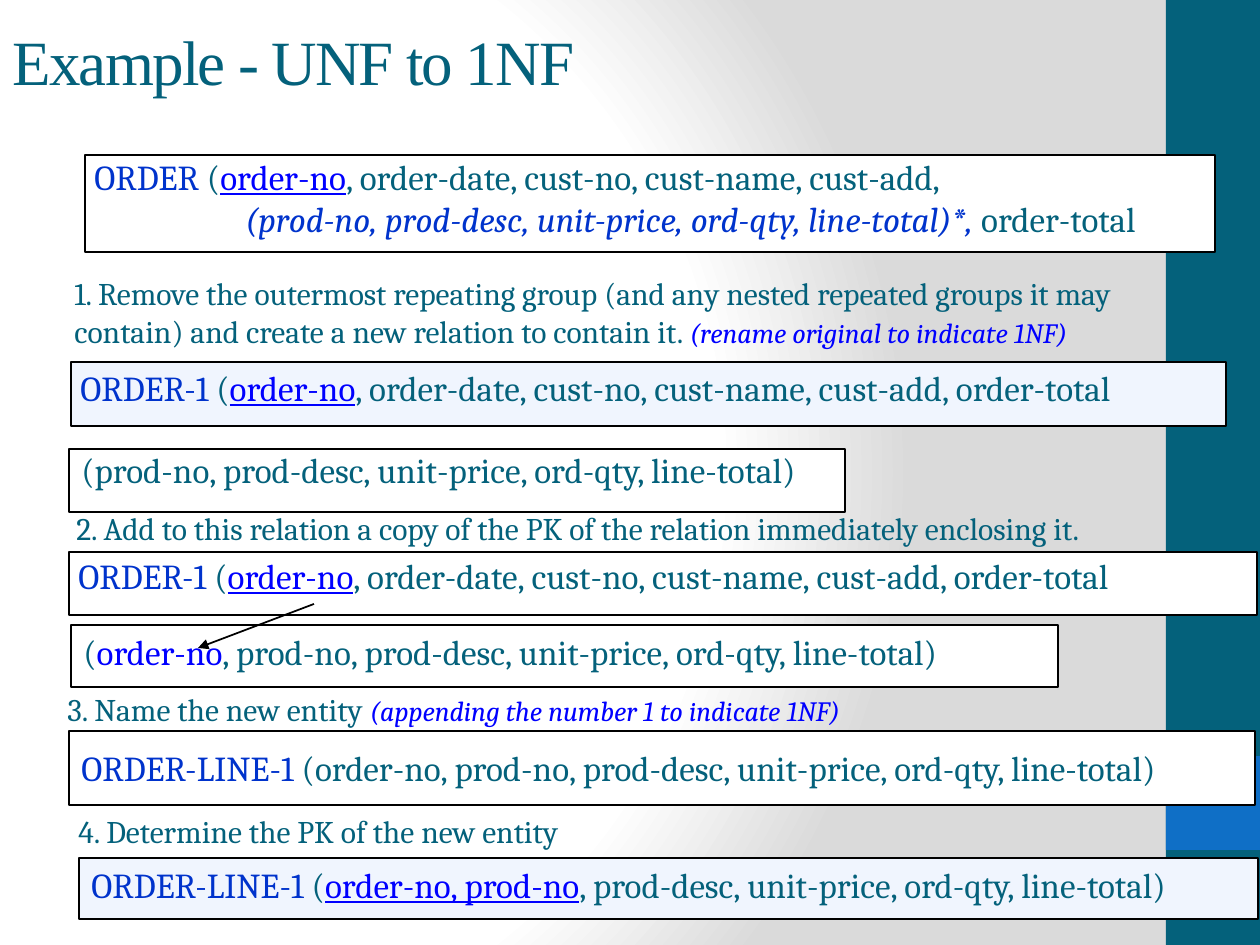
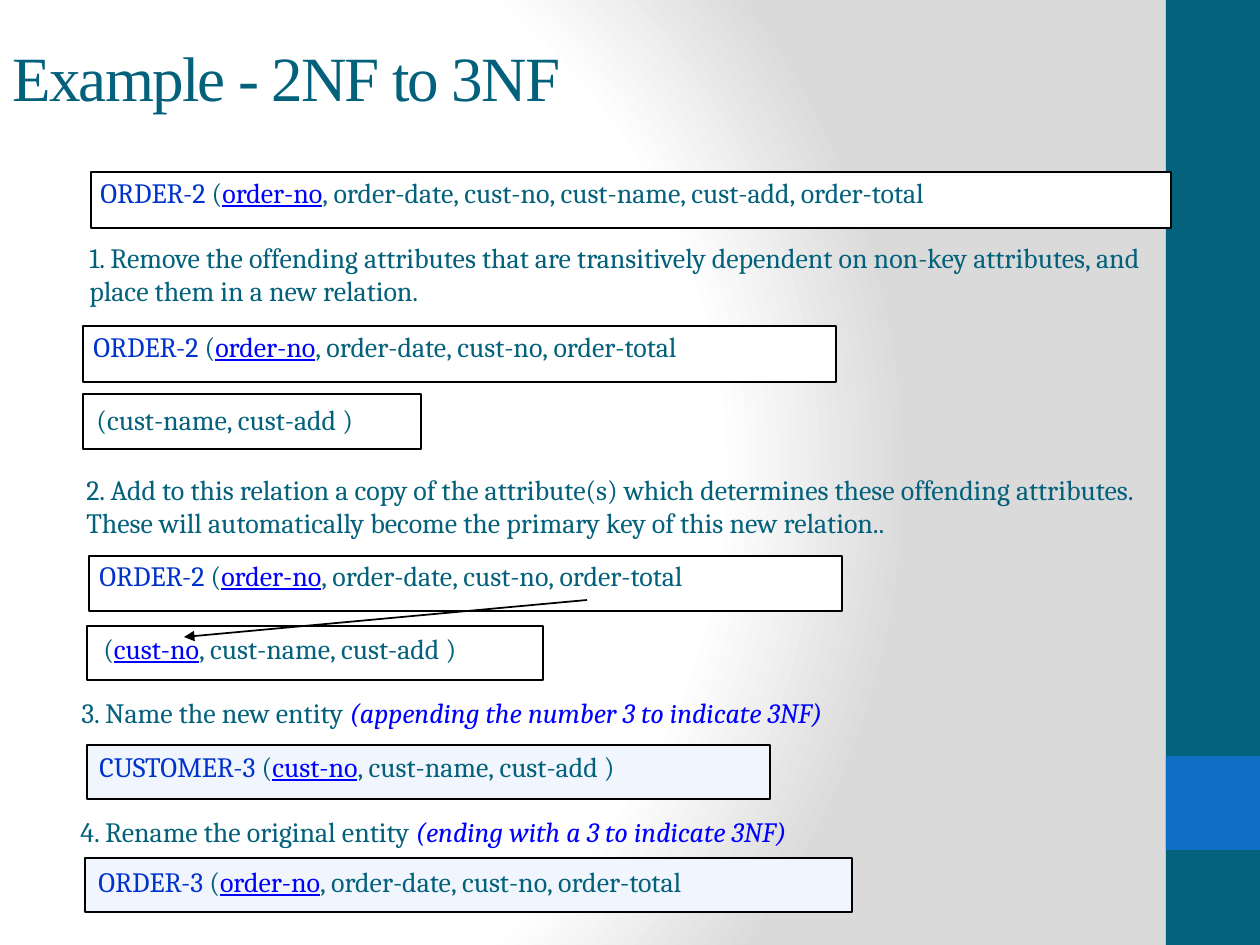
import pptx
import pptx.dml.color
import pptx.enum.shapes
import pptx.enum.text
import pptx.oxml
import pptx.oxml.ns
import pptx.util
from lxml import etree

EMU_PER_PX = 914400 / 126
PAGE_WIDTH, PAGE_HEIGHT = 1260, 945
TEAL, ACCENT, BLACK = "04617B", "0F6FC6", "000000"
NAME_BLUE, KEY_BLUE = "0033CC", "0000FF"
WHITE, RESULT_FILL = "FFFFFF", "F0F5FE"
BODY_FONT, TITLE_FONT = "Cambria", "Times New Roman"

BANDS = [((1166, 0, 94, 945), TEAL), ((1166, 756, 94, 94), ACCENT)]
GRADIENT_STOPS = [(0, "FFFFFF"), (75, "FFFFFF"), (100, "DADADA")]

SPAN_STYLES = {
    "plain": dict(color=TEAL),
    "name": dict(color=NAME_BLUE),
    "key": dict(color=KEY_BLUE, underline=True),
    "copied": dict(color=KEY_BLUE),
    "note": dict(color=KEY_BLUE, italic=True),
    "group": dict(color=NAME_BLUE, italic=True),
}


def relation(name, key, rest):
    """Spans of a relation: its name, its underlined key, its other attributes."""
    return [(name, "name"), (" (", "plain"), (key, "key"), (rest, "plain")]


def step(text, note=""):
    return [(text, "plain")] + ([(note, "note")] if note else [])


ORDER_1 = relation("ORDER-1", "order-no",
                   ", order-date, cust-no, cust-name, cust-add, order-total")
ORDER_2 = relation("ORDER-2", "order-no", ", order-date, cust-no, order-total")

# Each part: frame (left, top, width, height) and its fill, or None for a step;
# then the text box and its paragraphs, each a list of spans.
SLIDES = [
    dict(
        title="Example - UNF to 1NF", title_height=121,
        relation_size=20, step_size=18, note_size=16,
        arrow=((314, 604), (198, 648)),
        parts=[
            ((85, 155, 1130, 97), WHITE, (82, 149, 1155, 112), [
                relation("ORDER", "order-no",
                         ", order-date, cust-no, cust-name, cust-add,"),
                [("(prod-no, prod-desc, unit-price, ord-qty, line-total)*, ",
                  "group"), ("order-total", "plain")]]),
            (None, None, (62, 268, 1172, 102), [step(
                "1. Remove the outermost repeating group (and any nested "
                "repeated groups it may contain) and create a new relation "
                "to contain it. ", "(rename original to indicate 1NF)")]),
            ((71, 362, 1155, 64), RESULT_FILL, (68, 360, 1181, 55), [ORDER_1]),
            ((69, 449, 776, 63), WHITE, (69, 442, 782, 63), [
                [("(prod-no, prod-desc, unit-price, ord-qty, line-total)",
                  "plain")]]),
            (None, None, (64, 503, 1137, 57), [step(
                "2. Add to this relation a copy of the PK of the relation "
                "immediately enclosing it.")]),
            ((69, 552, 1188, 63), WHITE, (66, 548, 1215, 55), [ORDER_1]),
            ((71, 625, 987, 62), WHITE, (71, 624, 956, 62), [
                [("(", "plain"), ("order-no", "copied"),
                 (", prod-no, prod-desc, unit-price, ord-qty, line-total)",
                  "plain")]]),
            (None, None, (55, 688, 854, 64), [step(
                "3. Name the new entity ",
                "(appending the number 1 to indicate 1NF)")]),
            ((69, 731, 1186, 74), WHITE, (69, 740, 1203, 55), [
                [("ORDER-LINE-1", "name"),
                 (" (order-no, prod-no, prod-desc, unit-price, ord-qty, "
                  "line-total)", "plain")]]),
            (None, None, (66, 806, 534, 57),
             [step("4. Determine the PK of the new entity")]),
            ((79, 858, 1179, 61), RESULT_FILL, (79, 857, 1203, 55), [
                relation("ORDER-LINE-1", "order-no, prod-no",
                         ", prod-desc, unit-price, ord-qty, line-total)")]),
        ]),
    dict(
        title="Example - 2NF to 3NF", title_height=152,
        relation_size=16, step_size=16, note_size=16,
        arrow=((587, 600), (184, 637)),
        parts=[
            ((91, 172, 1080, 56), WHITE, (88, 169, 1104, 47), [
                relation("ORDER-2", "order-no", ", order-date, cust-no, "
                         "cust-name, cust-add, order-total")]),
            (None, None, (77, 234, 1095, 81), [step(
                "1. Remove the offending attributes that are transitively "
                "dependent on non-key attributes, and place them in a new "
                "relation.")]),
            ((83, 326, 753, 56), WHITE, (81, 323, 770, 47), [ORDER_2]),
            ((83, 394, 338, 55), WHITE, (84, 396, 309, 47),
             [[("(cust-name, cust-add )", "plain")]]),
            (None, None, (74, 466, 1120, 81), [step(
                "2. Add to this relation a copy of the attribute(s) which "
                "determines these offending attributes. These will "
                "automatically become the primary key of this new "
                "relation..")]),
            ((89, 556, 753, 55), WHITE, (87, 552, 770, 47), [ORDER_2]),
            ((87, 626, 456, 54), WHITE, (91, 625, 417, 47), [
                [("(", "plain"), ("cust-no", "key"),
                 (", cust-name, cust-add )", "plain")]]),
            (None, None, (69, 693, 847, 43), [step(
                "3. Name the new entity ",
                "(appending the number 3 to indicate 3NF)")]),
            ((87, 745, 683, 54), RESULT_FILL, (87, 743, 611, 47), [
                relation("CUSTOMER-3", "cust-no", ", cust-name, cust-add )")]),
            (None, None, (68, 808, 800, 47), [step(
                "4. Rename the original entity ",
                "(ending with a 3 to indicate 3NF)")]),
            ((85, 858, 767, 54), RESULT_FILL, (86, 858, 770, 47), [
                relation("ORDER-3", "order-no",
                         ", order-date, cust-no, order-total")]),
        ]),
]
CONTINUATION_INDENT = 151


def px(length):
    return pptx.util.Emu(round(length * EMU_PER_PX))


def rgb(color):
    return pptx.dml.color.RGBColor.from_string(color)


def add_rectangle(page, place, fill, line=None):
    box = page.shapes.add_shape(
        pptx.enum.shapes.MSO_SHAPE.RECTANGLE, *map(px, place))
    box.shadow.inherit = False
    box.fill.solid()
    box.fill.fore_color.rgb = rgb(fill)
    if line:
        box.line.color.rgb = rgb(line)
        box.line.width = pptx.util.Pt(1)
    else:
        box.line.fill.background()


def add_text_box(page, place, middle=False):
    frame = page.shapes.add_textbox(*map(px, place)).text_frame
    frame.word_wrap = True
    if middle:
        frame.vertical_anchor = pptx.enum.text.MSO_ANCHOR.MIDDLE
    return frame


def add_span(para, text, size, color, font=BODY_FONT, italic=False,
             underline=False, spacing=0):
    span = para.add_run()
    span.text = text
    span.font.name = font
    span.font.size = pptx.util.Pt(size)
    span.font.color.rgb = rgb(color)
    span.font.italic = italic
    span.font.underline = underline
    if spacing:
        span.font._element.set("spc", str(round(spacing * 100)))


def add_paragraphs(frame, paragraphs, size, note_size):
    for index, spans in enumerate(paragraphs):
        para = frame.add_paragraph() if index else frame.paragraphs[0]
        if index:
            properties = para._p.get_or_add_pPr()
            properties.set("marL", str(px(CONTINUATION_INDENT)))
            properties.set("indent", "0")
        if spans[0][0].startswith("3."):
            para.line_spacing = 0.9
        for text, style in spans:
            add_span(para, text, note_size if style == "note" else size,
                     **SPAN_STYLES[style])


def add_arrow(page, start, end):
    arrow = page.shapes.add_connector(
        pptx.enum.shapes.MSO_CONNECTOR.STRAIGHT, *map(px, start + end))
    arrow.line.color.rgb = rgb(BLACK)
    arrow.line.width = pptx.util.Pt(1)
    tail = etree.SubElement(arrow.line._get_or_add_ln(),
                            pptx.oxml.ns.qn("a:tailEnd"))
    tail.set("type", "triangle")
    etree.SubElement(arrow._element.spPr, pptx.oxml.ns.qn("a:effectLst"))


def set_background(master):
    """Give every slide the radial gradient that darkens to the right."""
    master.background.fill.solid()
    stops = "".join(
        f'<a:gs pos="{position * 1000}"><a:srgbClr val="{color}"/></a:gs>'
        for position, color in GRADIENT_STOPS)
    gradient = pptx.oxml.parse_xml(
        f'<a:gradFill {pptx.oxml.ns.nsdecls("a")} rotWithShape="1">'
        f'<a:gsLst>{stops}</a:gsLst><a:path path="circle">'
        '<a:fillToRect l="20000" t="50000" r="100000" b="50000"/>'
        '</a:path></a:gradFill>')
    solid = master._element.find(".//" + pptx.oxml.ns.qn("p:bgPr"))[0]
    solid.getparent().replace(solid, gradient)


def build_slide(deck, content):
    page = deck.slides.add_slide(deck.slide_layouts[6])
    for place, color in BANDS:
        add_rectangle(page, place, color)
    title = add_text_box(
        page, (0, 0, PAGE_WIDTH, content["title_height"]), middle=True)
    add_span(title.paragraphs[0], content["title"], 36, TEAL,
             font=TITLE_FONT, spacing=-1)
    for frame_place, fill, text_place, paragraphs in content["parts"]:
        if frame_place:
            add_rectangle(page, frame_place, fill, BLACK)
        size = content["relation_size" if frame_place else "step_size"]
        add_paragraphs(add_text_box(page, text_place), paragraphs, size,
                       content["note_size"])
    add_arrow(page, *content["arrow"])


def main():
    deck = pptx.Presentation()
    deck.slide_width, deck.slide_height = px(PAGE_WIDTH), px(PAGE_HEIGHT)
    set_background(deck.slide_master)
    for content in SLIDES:
        build_slide(deck, content)
    deck.save("out.pptx")


if __name__ == "__main__":
    main()
